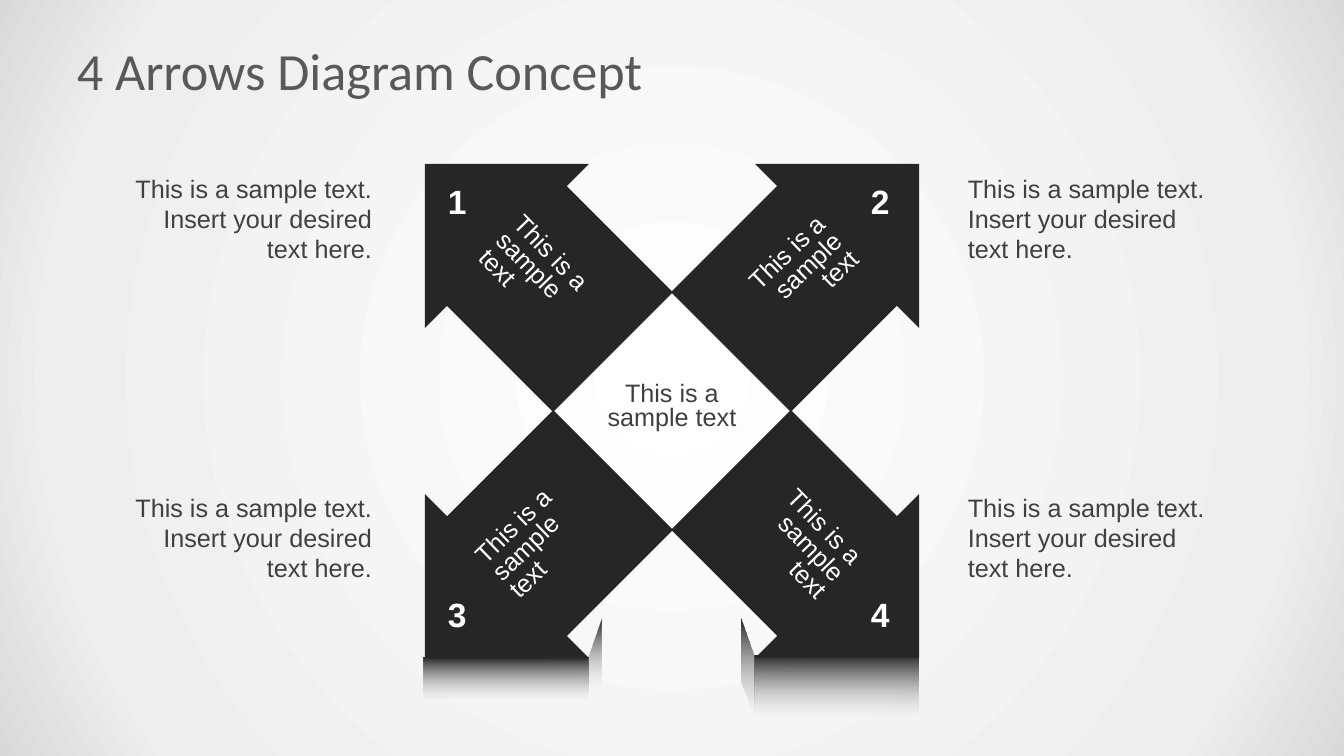
import lxml.etree
import pptx
import pptx.dml.color
import pptx.enum.shapes
import pptx.enum.text
import pptx.oxml.ns
import pptx.util

EMU_PER_PX = 914400 / 100.8
WIDTH, HEIGHT = 1344, 756
CENTER_X, CENTER_Y = 672, 411
ARROW_LENGTH, ARROW_BREADTH, ARROW_OFFSET = 266, 232, 153

RGBColor = pptx.dml.color.RGBColor
WHITE = RGBColor(0xFF, 0xFF, 0xFF)
PALE = RGBColor(0xEE, 0xEE, 0xEE)
EDGE = RGBColor(0xD9, 0xD9, 0xD9)
SILVER = RGBColor(0xBF, 0xBF, 0xBF)
TITLE_GRAY = RGBColor(0x59, 0x59, 0x59)
TEXT_GRAY = RGBColor(0x40, 0x40, 0x40)
BLACK = RGBColor(0x26, 0x26, 0x26)

LEFT = pptx.enum.text.PP_ALIGN.LEFT
CENTER = pptx.enum.text.PP_ALIGN.CENTER
RIGHT = pptx.enum.text.PP_ALIGN.RIGHT
SHAPE_TYPE = pptx.enum.shapes.MSO_SHAPE

NOTE = "This is a sample text. Insert your desired text here."
LABEL = "This is a sample text"
DOWNWARD = '<a:lin ang="5400000" scaled="0"/>'
RADIAL = ('<a:path path="circle"><a:fillToRect l="50000" t="50000" '
          'r="50000" b="50000"/></a:path>')

# number, column, row, arrow rotation, label rotation
CORNERS = [
    ("1", 0, 0, 225, 46),
    ("2", 1, 0, 315, 316),
    ("3", 0, 1, 135, 316),
    ("4", 1, 1, 45, 46),
]


def px(length):
    return pptx.util.Emu(round(length * EMU_PER_PX))


def set_gradient(owner, element, stops, direction):
    """Fill owner with stops given as (percent, colour, opacity percent)."""
    owner.fill.gradient()
    stop_xml = "".join(
        f'<a:gs pos="{position * 1000}"><a:srgbClr val="{color}">'
        f'<a:alpha val="{opacity * 1000}"/></a:srgbClr></a:gs>'
        for position, color, opacity in stops)
    gradient = lxml.etree.fromstring(
        f'<a:gradFill {pptx.oxml.ns.nsdecls("a")} rotWithShape="1">'
        f'<a:gsLst>{stop_xml}</a:gsLst>{direction}</a:gradFill>')
    current = element.find(".//" + pptx.oxml.ns.qn("a:gradFill"))
    current.getparent().replace(current, gradient)


def add_text(slide, text, left, top, width, height, color=TEXT_GRAY, size=18,
             font="Arial", align=LEFT, bold=False, spacing=None, rotation=0,
             wrap=True, anchor=pptx.enum.text.MSO_ANCHOR.TOP):
    shape = slide.shapes.add_textbox(px(left), px(top), px(width), px(height))
    shape.rotation = rotation
    frame = shape.text_frame
    frame.word_wrap = wrap
    frame.vertical_anchor = anchor
    paragraph = frame.paragraphs[0]
    paragraph.alignment = align
    paragraph.line_spacing = spacing
    run = paragraph.add_run()
    run.text = text
    run.font.name = font
    run.font.size = pptx.util.Pt(size)
    run.font.bold = bold
    run.font.color.rgb = color


def add_arrow(slide, column, row, rotation):
    left = CENTER_X + (2 * column - 1) * ARROW_OFFSET - ARROW_LENGTH / 2
    top = CENTER_Y + (2 * row - 1) * ARROW_OFFSET - ARROW_BREADTH / 2
    shape = slide.shapes.add_shape(SHAPE_TYPE.RIGHT_ARROW, px(left), px(top),
                                   px(ARROW_LENGTH), px(ARROW_BREADTH))
    shape.adjustments[0] = 0.73
    shape.adjustments[1] = 0.5
    shape.rotation = rotation
    shape.fill.solid()
    shape.fill.fore_color.rgb = BLACK
    shape.line.fill.background()
    shape.shadow.inherit = False


def add_reflection(slide, points, fade_end):
    """Draw an outline that fades downward to nothing at fade_end percent."""
    builder = slide.shapes.build_freeform(*points[0], scale=EMU_PER_PX)
    builder.add_line_segments(points[1:], close=True)
    shape = builder.convert_to_shape()
    set_gradient(shape, shape._element,
                 [(0, BLACK, 100), (fade_end, SILVER, 0)], DOWNWARD)
    shape.line.fill.background()
    shape.shadow.inherit = False


def add_corner_text(slide, number, column, row, rotation):
    add_text(slide, NOTE, (113, 958)[column], (168, 487)[row], 269, 102,
             align=(RIGHT, LEFT)[column])
    add_text(slide, number, (438, 861)[column], (176, 589)[row], 39, 50,
             color=WHITE, size=24, bold=True, wrap=False)
    add_text(slide, LABEL, (474, 743)[column], (232, 501)[row], 120, 84,
             color=WHITE, align=(LEFT, RIGHT)[column], spacing=0.8,
             rotation=rotation)


def main():
    presentation = pptx.Presentation()
    presentation.slide_width = px(WIDTH)
    presentation.slide_height = px(HEIGHT)
    slide = presentation.slides.add_slide(presentation.slide_layouts[6])
    set_gradient(slide.background, slide._element,
                 [(0, WHITE, 100), (81, PALE, 100), (100, EDGE, 100)], RADIAL)

    add_text(slide, "4 Arrows Diagram Concept", 67, 30, 1210, 79,
             color=TITLE_GRAY, size=37.3, font="Calibri",
             anchor=pptx.enum.text.MSO_ANCHOR.MIDDLE)
    for number, column, row, arrow_rotation, label_rotation in CORNERS:
        add_arrow(slide, column, row, arrow_rotation)

    add_reflection(slide, [(424, 658), (589, 658), (589, 717), (424, 717)], 71)
    add_reflection(slide, [(755, 656), (918, 656), (918, 715), (755, 715)], 100)
    add_reflection(slide, [(742, 619), (755, 658), (755, 717), (742, 683)], 100)
    add_reflection(slide, [(601, 619), (589, 658), (589, 717), (601, 683)], 71)

    for number, column, row, arrow_rotation, label_rotation in CORNERS:
        add_corner_text(slide, number, column, row, label_rotation)
    add_text(slide, LABEL, 596, 378, 152, 59, align=CENTER, spacing=0.8)
    presentation.save("out.pptx")


if __name__ == "__main__":
    main()
